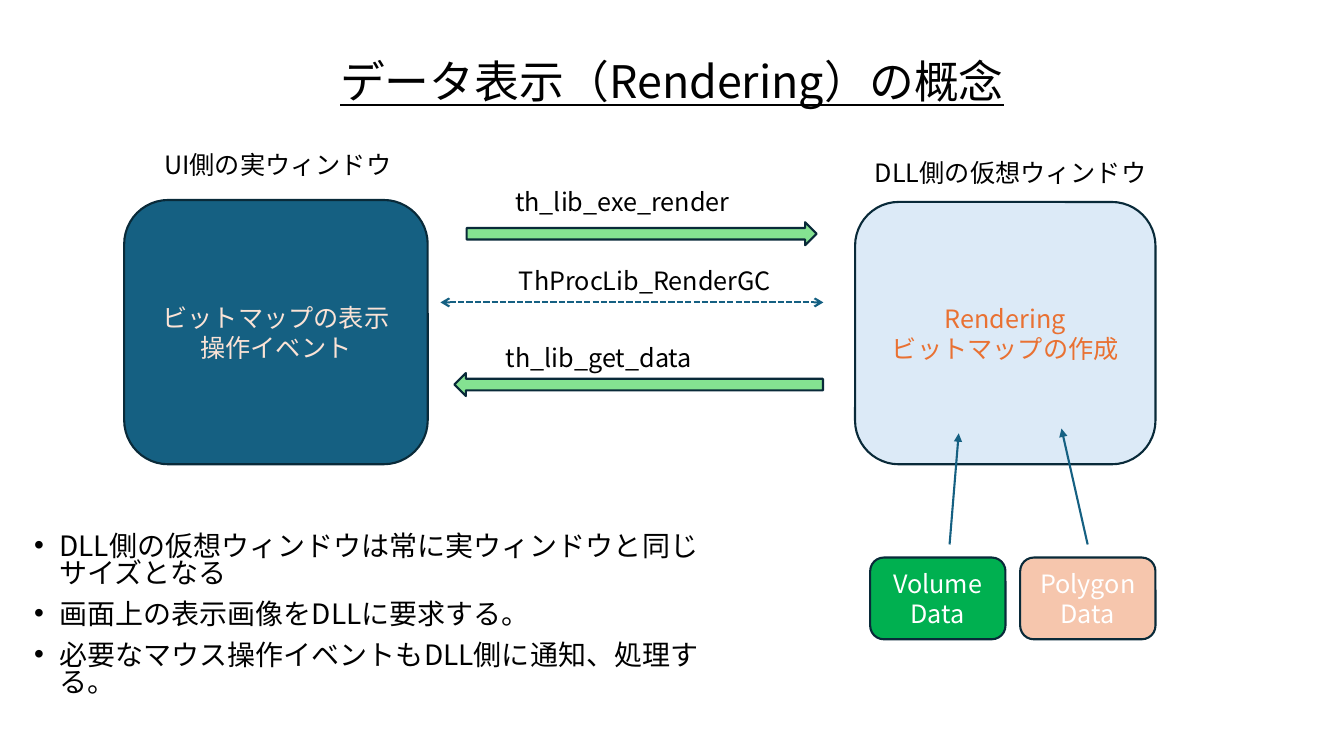
from lxml import etree
from pptx import Presentation, util as u
from pptx.dml.color import RGBColor
from pptx.enum import dml, shapes, text
from pptx.oxml import ns

Cm, Pt = u.Cm, u.Pt
FONT = "Noto Sans CJK JP"
COLORS = {
    "black": "000000", "white": "FFFFFF", "outline": "092A39",
    "teal": "156082", "cream": "FBE3D6", "pale_blue": "DCEAF7",
    "orange": "E97132", "light_green": "84E291",
    "green": "00B050", "peach": "F6C6AD",
}


def rgb(name):
    return RGBColor.from_string(COLORS[name])


def write(tf, lines, size, color, align=None, anchor=None):
    """Put each line in its own paragraph; a newline becomes a line break."""
    tf.word_wrap = True
    tf.vertical_anchor = anchor
    for i, line in enumerate(lines):
        p = tf.paragraphs[0] if i == 0 else tf.add_paragraph()
        p.alignment = align
        for j, part in enumerate(line.split("\n")):
            if j:
                p.add_line_break()
            r = p.add_run()
            r.text = part
            r.font.size = Pt(size)
            r.font.color.rgb = rgb(color)
            r.font.name = FONT
            etree.SubElement(r._r.rPr, ns.qn("a:ea"), typeface=FONT)


prs = Presentation()
prs.slide_width, prs.slide_height = Cm(33.87), Cm(19.05)
s = prs.slides.add_slide(prs.slide_layouts[6])
CENTER, MIDDLE = text.PP_ALIGN.CENTER, text.MSO_ANCHOR.MIDDLE
KIND = shapes.MSO_SHAPE

# Title
tf = s.shapes.add_textbox(Cm(2.33), Cm(1.01), Cm(29.21), Cm(2.19)).text_frame
write(tf, ["データ表示（Rendering）の概念"], 32, "black", CENTER, MIDDLE)
tf.paragraphs[0].line_spacing = 0.9
tf.paragraphs[0].runs[0].font.underline = True

# Bulleted notes
tf = s.shapes.add_textbox(Cm(0.61), Cm(13.36), Cm(17.65), Cm(4.67)).text_frame
write(tf, ["DLL側の仮想ウィンドウは常に実ウィンドウと同じサイズとなる",
           "画面上の表示画像をDLLに要求する。",
           "必要なマウス操作イベントもDLL側に通知、処理する。"], 20, "black")
for p in tf.paragraphs:
    p.line_spacing = 0.8
    p.space_before = Pt(10)
    pPr = p._p.get_or_add_pPr()
    pPr.set("marL", str(Cm(0.64)))
    pPr.set("indent", str(-Cm(0.64)))
    etree.SubElement(pPr, ns.qn("a:buFont"), typeface="Arial")
    etree.SubElement(pPr, ns.qn("a:buChar"), char="•")

# Windows, data boxes and block arrows
for kind, x, y, w, h, fill, color, lines, turn in [
    (KIND.ROUNDED_RECTANGLE, 3.13, 5.04, 7.65, 6.66, "teal", "cream",
     ["ビットマップの表示\n操作イベント"], 0),
    (KIND.ROUNDED_RECTANGLE, 21.55, 5.09, 7.57, 6.61, "pale_blue", "orange",
     ["Rendering\nビットマップの作成"], 0),
    (KIND.RIGHT_ARROW, 11.76, 5.6, 8.82, 0.58, "light_green", "white", [], 0),
    (KIND.RIGHT_ARROW, 11.45, 9.4, 9.29, 0.58, "light_green", "white", [], 180),
    (KIND.ROUNDED_RECTANGLE, 21.93, 14.05, 3.41, 2.06, "green", "white",
     ["Volume\nData"], 0),
    (KIND.ROUNDED_RECTANGLE, 25.71, 14.05, 3.41, 2.06, "peach", "white",
     ["Polygon", "Data"], 0),
]:
    sp = s.shapes.add_shape(kind, Cm(x), Cm(y), Cm(w), Cm(h))
    sp.shadow.inherit = False
    sp.rotation = turn
    sp.fill.solid()
    sp.fill.fore_color.rgb = rgb(fill)
    sp.line.color.rgb = rgb("outline")
    sp.line.width = Pt(1.5)
    write(sp.text_frame, lines, 18, color, CENTER, MIDDLE)

# Labels
for label, x, y, w in [
    ("UI側の実ウィンドウ", 3.89, 3.63, 7.57),
    ("DLL側の仮想ウィンドウ", 21.8, 3.84, 7.57),
    ("th_lib_exe_render", 12.73, 4.57, 6.91),
    ("ThProcLib_RenderGC", 12.83, 6.56, 6.91),
    ("th_lib_get_data", 12.5, 8.51, 7.57),
]:
    sp = s.shapes.add_textbox(Cm(x), Cm(y), Cm(w), Cm(1.03))
    write(sp.text_frame, [label], 18, "black")
    sp.text_frame.auto_size = text.MSO_AUTO_SIZE.SHAPE_TO_FIT_TEXT

# Data arrows and the dashed two-way arrow
for x1, y1, x2, y2, dash, ends in [
    (23.93, 13.72, 24.16, 10.92, None, {"tailEnd": "triangle"}),
    (27.41, 13.72, 26.75, 10.8, None, {"tailEnd": "triangle"}),
    (11.1, 7.62, 20.75, 7.62, dml.MSO_LINE.SQUARE_DOT,
     {"headEnd": "arrow", "tailEnd": "arrow"}),
]:
    c = s.shapes.add_connector(shapes.MSO_CONNECTOR.STRAIGHT,
                               Cm(x1), Cm(y1), Cm(x2), Cm(y2))
    c.line.color.rgb = rgb("teal")
    c.line.width = Pt(1.5)
    if dash:
        c.line.dash_style = dash
    for end, head in ends.items():
        etree.SubElement(c.line._get_or_add_ln(), ns.qn(f"a:{end}"), type=head)
    etree.SubElement(c._element.spPr, ns.qn("a:effectLst"))

prs.save("out.pptx")
